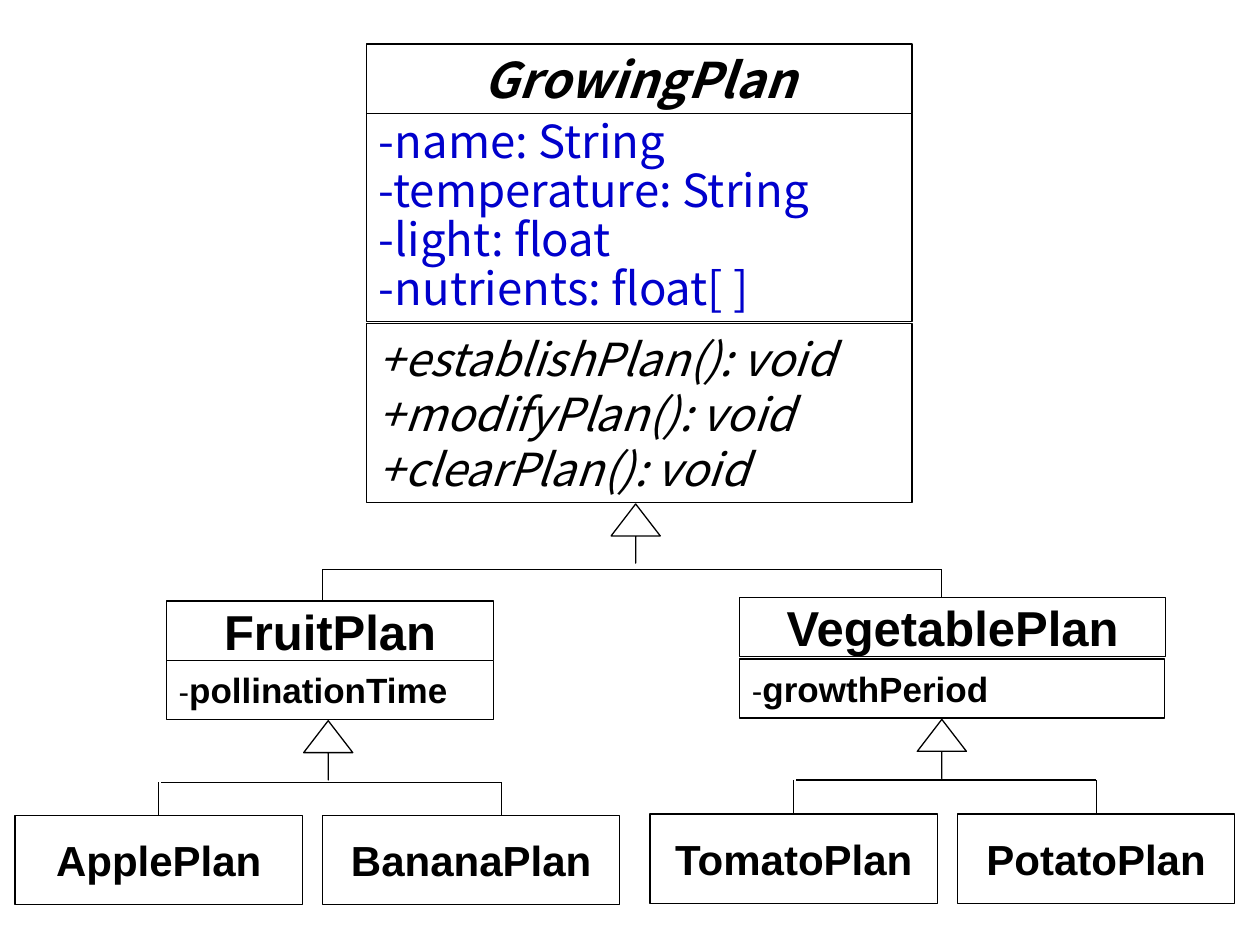
from dataclasses import dataclass
from typing import Any

from lxml import etree
from pptx import Presentation
from pptx import util as u
from pptx.dml.color import RGBColor
from pptx.enum import shapes, text
from pptx.oxml.ns import qn

COLUMNS, ROWS = 100, 75
TOP_SIDE = 0


def color(value):
    """Turn a hex string into a colour."""
    return RGBColor.from_string(value)


@dataclass
class ClassDiagram:
    """Draws class boxes and inheritance lines on a grid of columns and rows."""

    deck: Any
    page: Any
    ink: str = "000000"
    paper: str = "FFFFFF"
    field_ink: str = "0000CC"
    stroke: float = 0.75
    font: str = "Arial"
    root_font: str = "Noto Sans CJK SC"

    def x(self, columns):
        return u.Emu(round(self.deck.slide_width * columns / COLUMNS))

    def y(self, rows):
        return u.Emu(round(self.deck.slide_height * rows / ROWS))

    def outlined(self, kind, left, top, width, height, parent=None):
        shape = (parent or self.page).shapes.add_shape(
            kind, self.x(left), self.y(top), self.x(width), self.y(height))
        shape.shadow.inherit = False
        shape.fill.solid()
        shape.fill.fore_color.rgb = color(self.paper)
        shape.line.color.rgb = color(self.ink)
        shape.line.width = u.Pt(self.stroke)
        return shape

    def box(self, left, top, width, height, parent=None):
        box = self.outlined(shapes.MSO_SHAPE.RECTANGLE, left, top, width, height, parent)
        box.text_frame.word_wrap = True
        box.text_frame.vertical_anchor = text.MSO_ANCHOR.MIDDLE
        return box

    def label(self, box, lines, size, font=None, ink=None, bold=False, italic=False,
              align=text.PP_ALIGN.LEFT, spacing=1.0):
        frame = box.text_frame
        for index, line in enumerate(lines):
            para = frame.add_paragraph() if index else frame.paragraphs[0]
            para.text = line
            para.alignment = align
            para.line_spacing = spacing
            para.font.name = font or self.font
            para.font.size = u.Pt(size)
            para.font.bold = bold
            para.font.italic = italic
            para.font.color.rgb = color(ink or self.ink)

    def title(self, name, size, place, parent=None, **style):
        box = self.box(*place, parent=parent)
        self.label(box, [name], size, bold=True, align=text.PP_ALIGN.CENTER, **style)
        return box

    def attribute(self, name, place):
        box = self.box(*place)
        self.label(box, ["-"], 18)
        span = box.text_frame.paragraphs[0].add_run()
        span.text = name
        span.font.size = u.Pt(20)
        span.font.bold = True

    def root(self, name, fields, methods, left, width):
        group = self.page.shapes.add_group_shape()
        self.title(name, 28, (left, 3.5, width, 5.5), group, font=self.root_font, italic=True)
        self.label(self.box(left, 9, width, 16.5, group), fields, 26,
                   font=self.root_font, ink=self.field_ink, spacing=0.9)
        self.label(self.box(left, 25.7, width, 14.2, group), methods, 26,
                   font=self.root_font, italic=True)

    def line(self, x1, y1, x2, y2):
        line = self.page.shapes.add_connector(shapes.MSO_CONNECTOR.STRAIGHT, x1, y1, x2, y2)
        line.line.color.rgb = color(self.ink)
        line.line.width = u.Pt(self.stroke)
        etree.SubElement(line._element.spPr, qn("a:effectLst"))
        return line

    def inherit(self, arrow_left, arrow_top, bar_row, drops):
        """Draw a hollow arrow, a bar under it and a drop to each child box."""
        bar = self.y(bar_row)
        first, last = (self.x(column) for column, _ in drops)
        self.line(first, bar, last, bar)
        for column, child in drops:
            middle = child.left + child.width // 2
            joined = abs(self.x(column) - middle) < self.x(0.3)
            start = middle if joined else self.x(column)
            drop = self.line(start, bar, start, child.top)
            if joined:
                drop.end_connect(child, TOP_SIDE)
        arrow = self.outlined(shapes.MSO_SHAPE.UP_ARROW, arrow_left, arrow_top, 3.9, 4.7)
        arrow.adjustments[0] = 0
        arrow.adjustments[1] = 0.65


def main():
    deck = Presentation()
    deck.slide_width, deck.slide_height = u.Inches(10), u.Inches(7.5)
    diagram = ClassDiagram(deck, deck.slides.add_slide(deck.slide_layouts[6]))

    diagram.root(
        "GrowingPlan",
        ["-name: String", "-temperature: String", "-light: float", "-nutrients: float[ ]"],
        ["+establishPlan(): void", "+modifyPlan(): void", "+clearPlan(): void"],
        left=29.1, width=43.3)

    fruit = diagram.title("FruitPlan", 28, (13.2, 47.7, 26, 4.7))
    vegetable = diagram.title("VegetablePlan", 28, (58.7, 47.4, 33.8, 4.7))
    diagram.attribute("pollinationTime", (13.2, 52.4, 26, 4.7))
    diagram.attribute("growthPeriod", (58.7, 52.3, 33.7, 4.7))

    apple, banana, tomato, potato = (
        diagram.title(name, 24, (left, top, width, 7.1))
        for name, left, top, width in [
            ("ApplePlan", 1.2, 64.7, 22.8), ("BananaPlan", 25.6, 64.7, 23.6),
            ("TomatoPlan", 51.6, 64.6, 22.8), ("PotatoPlan", 76, 64.6, 22)])

    diagram.inherit(48.5, 40, 45.2, [(25.6, fruit), (74.7, vegetable)])
    diagram.inherit(24.1, 57.2, 62.1, [(12.8, apple), (39.8, banana)])
    diagram.inherit(72.8, 57.1, 61.9, [(63.2, tomato), (87, potato)])

    deck.save("out.pptx")


if __name__ == "__main__":
    main()
